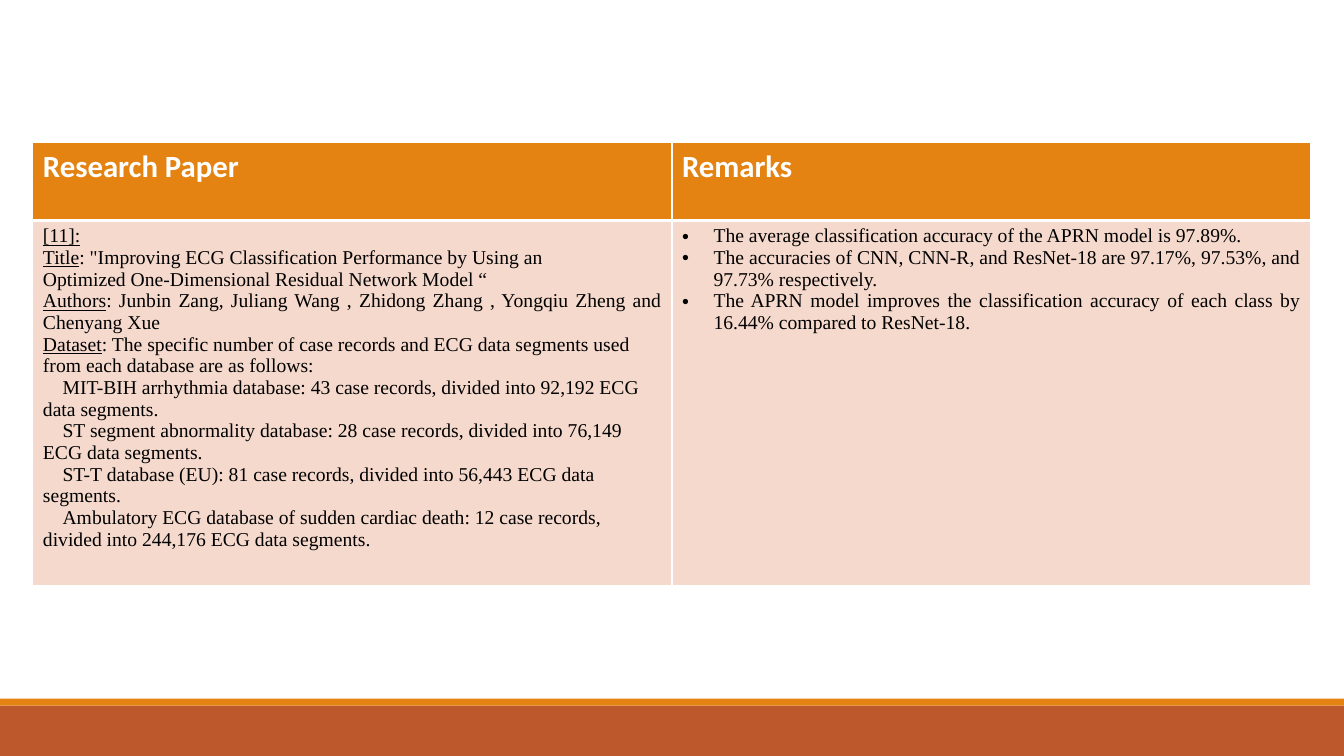
from lxml import etree
from pptx import Presentation
from pptx.dml.color import RGBColor
from pptx.enum import shapes, text
from pptx.oxml import ns
from pptx.util import Pt

HEADERS = ["Research Paper", "Remarks"]
CITATION = [
    ("[11]:", ""),
    ("Title", ': "Improving ECG Classification Performance by Using an'),
    ("", "Optimized One-Dimensional Residual Network Model “"),
    ("Authors", ": Junbin Zang, Juliang Wang , Zhidong Zhang , Yongqiu Zheng and Chenyang Xue"),
]
DATASET = ("Dataset", ": The specific number of case records and ECG data segments used from each database are as follows:")
DATABASES = [
    "MIT-BIH arrhythmia database: 43 case records, divided into 92,192 ECG data segments.",
    "ST segment abnormality database: 28 case records, divided into 76,149 ECG data segments.",
    "ST-T database (EU): 81 case records, divided into 56,443 ECG data segments.",
    "Ambulatory ECG database of sudden cardiac death: 12 case records, divided into 244,176 ECG data segments.",
]
REMARKS = [
    "The average classification accuracy of the APRN model is 97.89%.",
    "The accuracies of CNN, CNN-R, and ResNet-18 are 97.17%, 97.53%, and 97.73% respectively.",
    "The APRN model improves the classification accuracy of each class by 16.44% compared to ResNet-18.",
]
THEME = {
    "orange": "E48312", "rust": "BD582C", "tint": "F5D9CC", "white": "FFFFFF", "black": "000000",
    "header": ("Calibri", 22, True, "FFFFFF"),
    "body": ("Times New Roman", 14, False, "000000"),
}
WIDTH, HEIGHT = 960, 540
TABLE_LEFT, TABLE_TOP = 23.5, 102
COLUMN_WIDTH = (WIDTH - 2 * TABLE_LEFT) / 2
ROW_HEIGHTS = [55.5, 261]
BANDS = [(504, 36, "rust"), (499, 5, "orange")]
BULLET_INDENT, DATABASE_INDENT = 22.5, 14


def color(name):
    return RGBColor.from_string(THEME[name])


def add_band(slide, top, height, fill):
    band = slide.shapes.add_shape(shapes.MSO_SHAPE.RECTANGLE, 0, Pt(top), Pt(WIDTH), Pt(height))
    band.shadow.inherit = False
    band.fill.solid()
    band.fill.fore_color.rgb = color(fill)
    band.line.fill.background()


def style_cell(cell, fill, bottom):
    cell.fill.solid()
    cell.fill.fore_color.rgb = color(fill)
    properties = cell._tc.get_or_add_tcPr()
    for index, (side, width) in enumerate([("L", 1), ("R", 1), ("T", 1), ("B", bottom)]):
        border = etree.Element(ns.qn(f"a:ln{side}"), w=str(Pt(width)))
        solid = etree.SubElement(border, ns.qn("a:solidFill"))
        etree.SubElement(solid, ns.qn("a:srgbClr"), val=THEME["white"])
        properties.insert(index, border)


def add_paragraph(cell, runs, style, justify=False, margin=0, indent=0, bullet=None):
    frame = cell.text_frame
    paragraph = frame.add_paragraph() if frame.paragraphs[0].runs else frame.paragraphs[0]
    properties = paragraph._p.get_or_add_pPr()
    properties.set("marL", str(Pt(margin)))
    properties.set("indent", str(Pt(indent)))
    if bullet:
        etree.SubElement(properties, ns.qn("a:buFont"), typeface="Arial")
        etree.SubElement(properties, ns.qn("a:buChar"), char=bullet)
    paragraph.alignment = text.PP_ALIGN.JUSTIFY if justify else text.PP_ALIGN.LEFT
    for words, underline in runs:
        if words:
            run = paragraph.add_run()
            run.text = words
            font = run.font
            font.name, size, font.bold, ink = THEME[style]
            font.size = Pt(size)
            font.underline = underline
            font.color.rgb = RGBColor.from_string(ink)


def labelled(entry):
    label, words = entry
    return [(label, True), (words, False)]


def add_review_table(slide):
    table = slide.shapes.add_table(
        2, 2, Pt(TABLE_LEFT), Pt(TABLE_TOP), Pt(2 * COLUMN_WIDTH), Pt(sum(ROW_HEIGHTS))
    ).table
    for column in table.columns:
        column.width = Pt(COLUMN_WIDTH)
    for row, height, fill, bottom in zip(table.rows, ROW_HEIGHTS, ["orange", "tint"], [3, 1]):
        row.height = Pt(height)
        for cell in row.cells:
            style_cell(cell, fill, bottom)
    for cell, title in zip(table.rows[0].cells, HEADERS):
        add_paragraph(cell, [(title, False)], "header")
    paper, remarks = table.rows[1].cells
    for entry in CITATION:
        add_paragraph(paper, labelled(entry), "body", justify=True)
    add_paragraph(paper, labelled(DATASET), "body")
    for database in DATABASES:
        add_paragraph(paper, [(database, False)], "body", indent=DATABASE_INDENT)
    for remark in REMARKS:
        add_paragraph(remarks, [(remark, False)], "body", True, BULLET_INDENT, -BULLET_INDENT, "•")


def main():
    presentation = Presentation()
    presentation.slide_width, presentation.slide_height = Pt(WIDTH), Pt(HEIGHT)
    slide = presentation.slides.add_slide(presentation.slide_layouts[6])
    for band in BANDS:
        add_band(slide, *band)
    add_review_table(slide)
    presentation.save("out.pptx")


if __name__ == "__main__":
    main()
